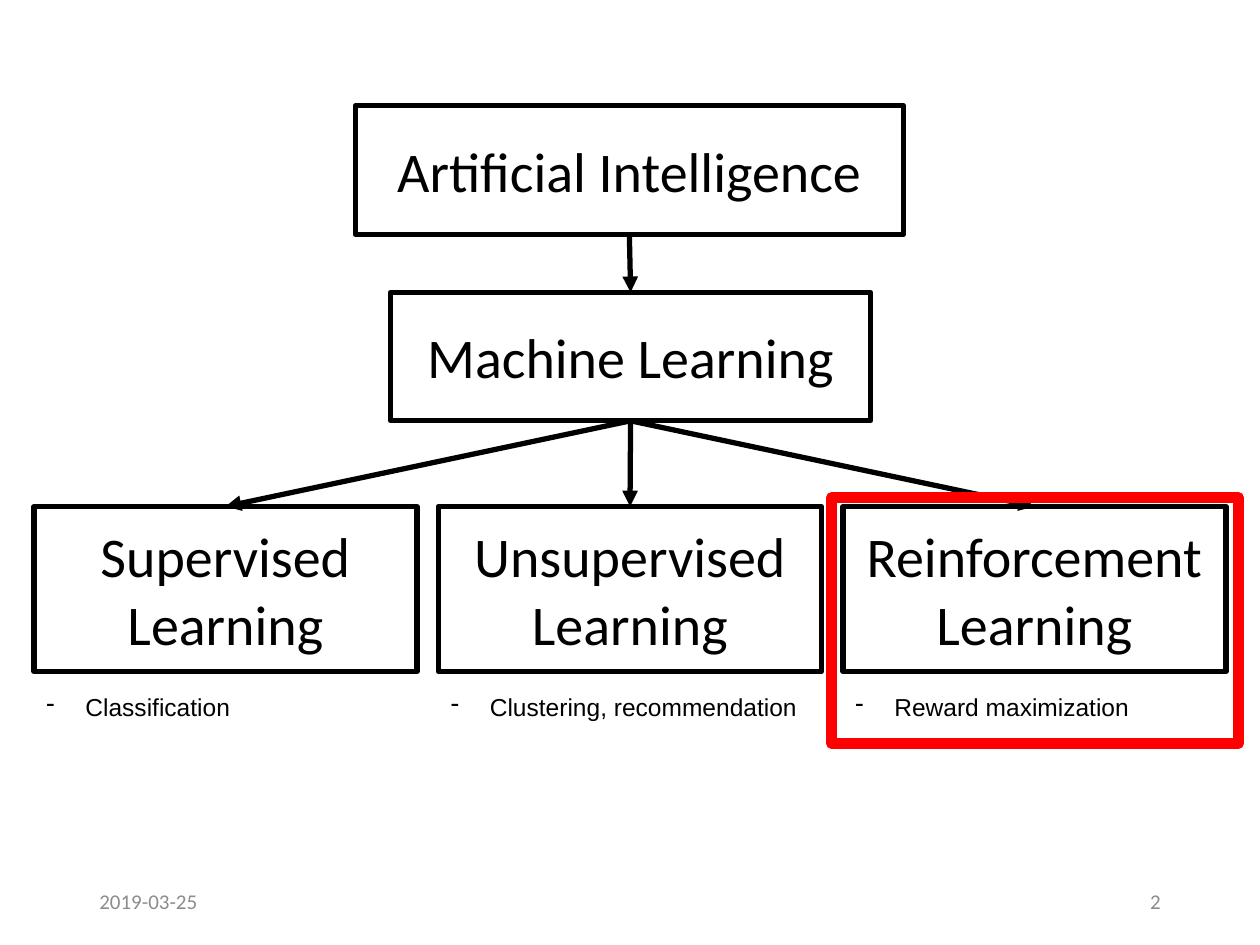
from lxml import etree
from pptx import Presentation
from pptx.dml.color import RGBColor
from pptx.enum.shapes import MSO_CONNECTOR as CONNECTOR, MSO_SHAPE as SHAPE
from pptx.enum.text import MSO_ANCHOR as ANCHOR, MSO_AUTO_SIZE as AUTO_SIZE, PP_ALIGN as ALIGN
from pptx.oxml.ns import qn
from pptx.util import Pt

PX = 9144  # 100 px to the inch
BLACK = RGBColor(0x00, 0x00, 0x00)
WHITE = RGBColor(0xFF, 0xFF, 0xFF)
RED = RGBColor(0xFF, 0x00, 0x00)
GRAY = RGBColor(0x8C, 0x8C, 0x8C)
BOTTOM_SITE, TOP_SITE = 2, 0


def add_text(paragraph, text, size, font_name, color):
    run = paragraph.add_run()
    run.text = text
    run.font.size = Pt(size)
    run.font.name = font_name
    run.font.color.rgb = color


def add_box(left, top, width, height, lines):
    shape = slide.shapes.add_shape(
        SHAPE.RECTANGLE, left * PX, top * PX, width * PX, height * PX)
    shape.shadow.inherit = False
    shape.fill.solid()
    shape.fill.fore_color.rgb = WHITE
    shape.line.color.rgb = BLACK
    shape.line.width = Pt(3)
    frame = shape.text_frame
    frame.word_wrap = True
    frame.vertical_anchor = ANCHOR.MIDDLE
    for index, line in enumerate(lines):
        paragraph = frame.add_paragraph() if index else frame.paragraphs[0]
        paragraph.alignment = ALIGN.CENTER
        add_text(paragraph, line, 32, "Calibri", BLACK)
    return shape


presentation = Presentation()
presentation.slide_width = 1000 * PX
presentation.slide_height = 750 * PX
slide = presentation.slides.add_slide(presentation.slide_layouts[6])

# Date and slide number
for left, text, alignment in [(69, "2019-03-25", ALIGN.LEFT), (706, "2", ALIGN.RIGHT)]:
    footer = slide.shapes.add_textbox(left * PX, 695 * PX, 225 * PX, 40 * PX)
    footer.text_frame.word_wrap = True
    footer.text_frame.vertical_anchor = ANCHOR.MIDDLE
    paragraph = footer.text_frame.paragraphs[0]
    paragraph.alignment = alignment
    add_text(paragraph, text, 12, "Calibri", GRAY)

# Hierarchy boxes
intelligence = add_box(282, 84, 435, 102, ["Artificial Intelligence"])
machine_learning = add_box(310, 232, 381, 102, ["Machine Learning"])
branches = [
    (["Supervised", "Learning"], "Classification"),
    (["Unsupervised Learning"], "Clustering, recommendation"),
    (["Reinforcement", "Learning"], "Reward maximization"),
]
branch_lefts = [27 + 321 * column for column in range(len(branches))]
branch_boxes = [add_box(left, 402, 304, 131, lines)
                for left, (lines, task) in zip(branch_lefts, branches)]

# Arrows from each parent to its children
links = [(intelligence, machine_learning)]
links += [(machine_learning, box) for box in branch_boxes]
for parent, child in links:
    arrow = slide.shapes.add_connector(CONNECTOR.STRAIGHT, 0, 0, 0, 0)
    arrow.begin_connect(parent, BOTTOM_SITE)
    arrow.end_connect(child, TOP_SITE)
    arrow.line.color.rgb = BLACK
    arrow.line.width = Pt(3)
    etree.SubElement(arrow.line._get_or_add_ln(), qn("a:tailEnd"), type="triangle")
    etree.SubElement(arrow._element.spPr, qn("a:effectLst"))

# Typical task under each branch
for left, (lines, task) in zip(branch_lefts, branches):
    note = slide.shapes.add_textbox(left * PX, 544 * PX, 304 * PX, 34 * PX)
    note.text_frame.word_wrap = True
    note.text_frame.auto_size = AUTO_SIZE.SHAPE_TO_FIT_TEXT
    paragraph = note.text_frame.paragraphs[0]
    properties = paragraph._p.get_or_add_pPr()
    properties.set("marL", str(31 * PX))
    properties.set("indent", str(-31 * PX))
    etree.SubElement(properties, qn("a:buChar"), char="-")
    add_text(paragraph, task, 14, "Arial", BLACK)

# Red frame around reinforcement learning
highlight = slide.shapes.add_shape(
    SHAPE.RECTANGLE, 660 * PX, 395 * PX, 323 * PX, 195 * PX)
highlight.shadow.inherit = False
highlight.fill.background()
highlight.line.color.rgb = RED
highlight.line.width = Pt(6)

presentation.save("out.pptx")
